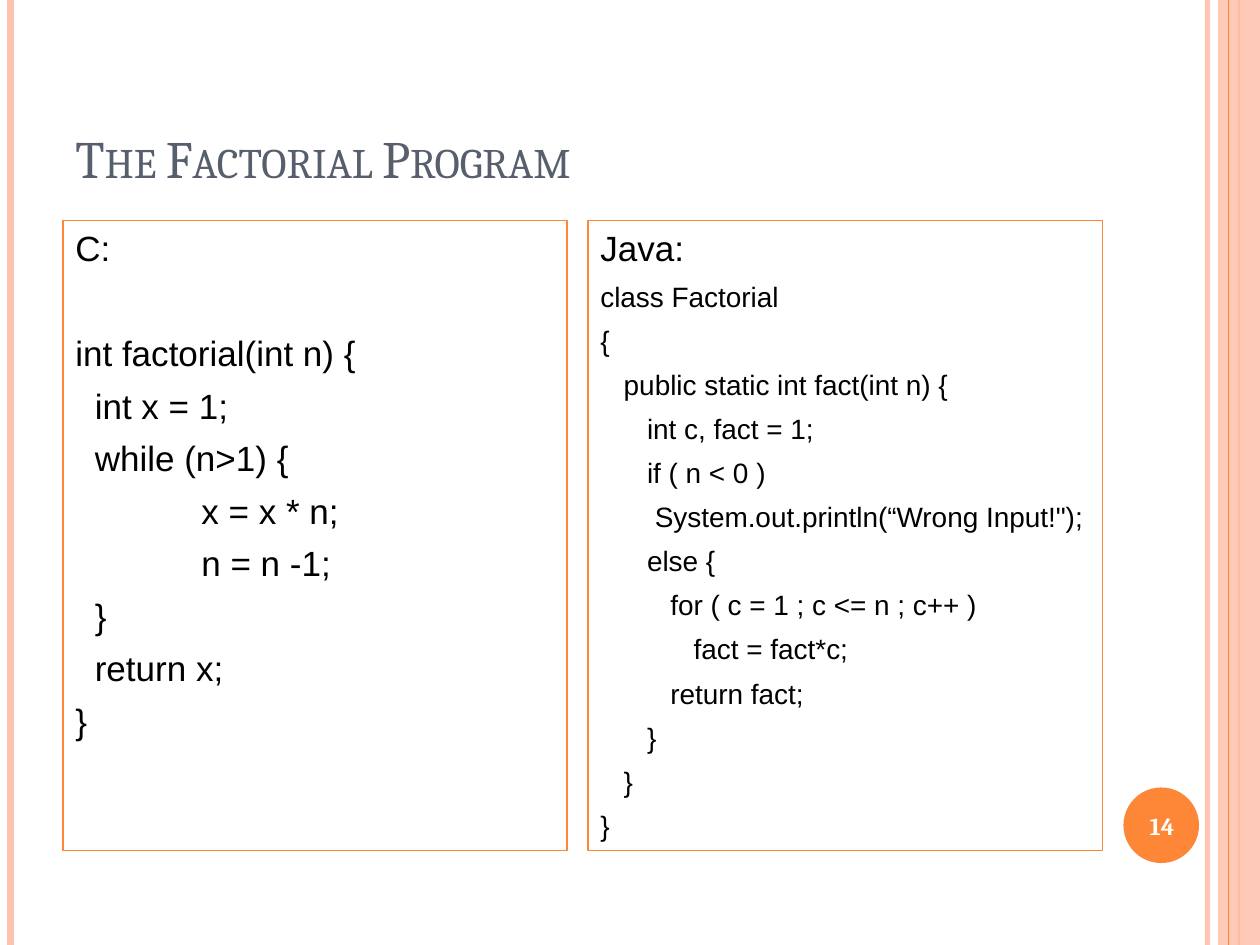
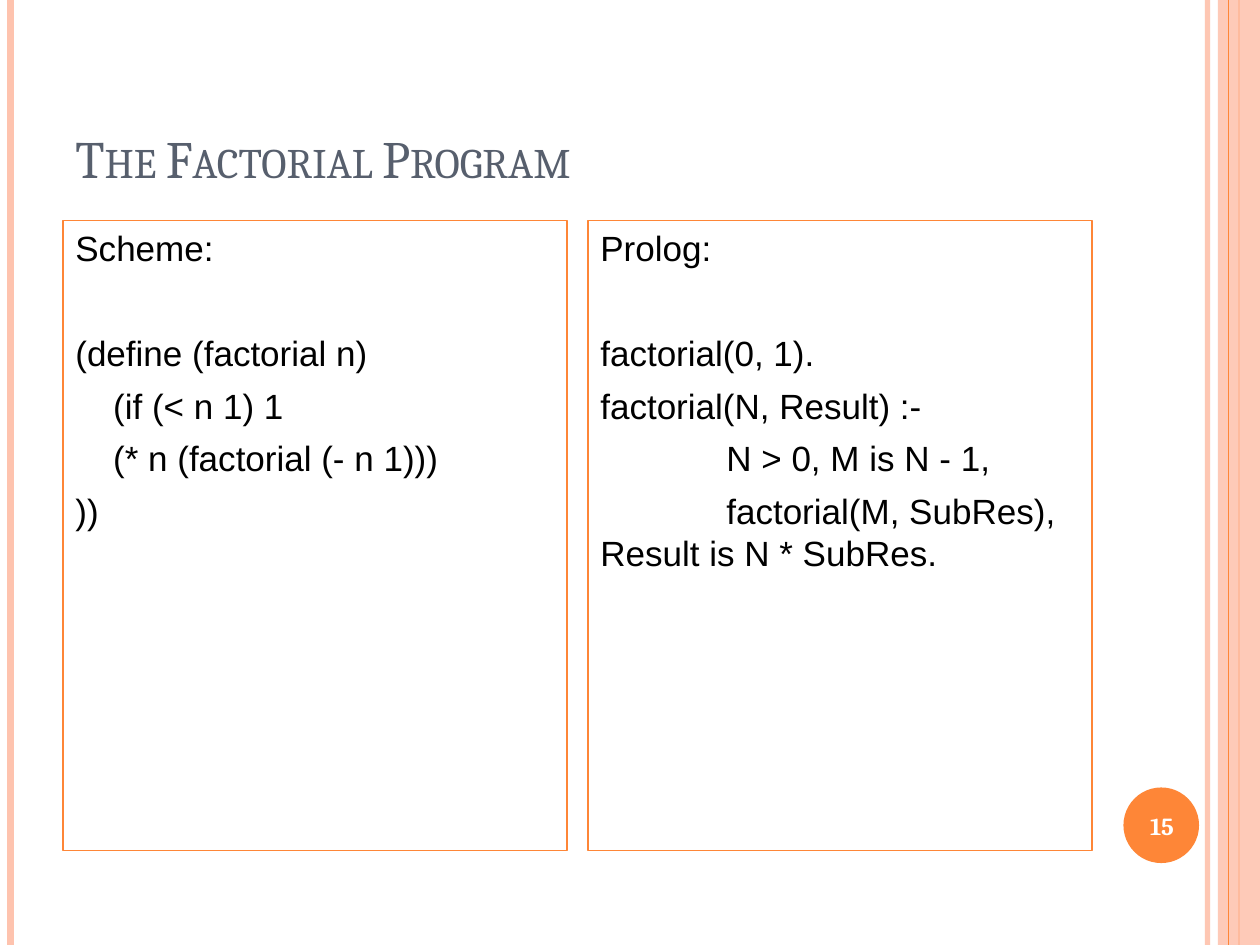
from lxml.etree import SubElement
from pptx import Presentation
from pptx.dml.color import RGBColor
from pptx.enum.shapes import MSO_CONNECTOR as Connector, MSO_SHAPE as Shape
from pptx.enum.text import MSO_ANCHOR as Anchor, PP_ALIGN as Align
from pptx.oxml.ns import qn
from pptx.util import Pt

# Colours
ORANGE = RGBColor(0xFE, 0x86, 0x37)
PEACH = RGBColor(0xFE, 0xC3, 0xAE)
SLATE = RGBColor(0x57, 0x5F, 0x6D)
WHITE = RGBColor(0xFF, 0xFF, 0xFF)
BLACK = RGBColor(0, 0, 0)

# Text formats
TITLE_FONT = {"name": "Cambria", "size": Pt(30)}
NUMBER_FONT = {"name": "Cambria", "size": Pt(14), "bold": True}
CODE_FONT = {"name": "Arial"}

# Layout, in points
WIDTH, HEIGHT = 720, 540
PANEL_TOP, PANEL_HEIGHT = 126, 360
LEFT_COLUMN, RIGHT_COLUMN = 36, 336
PANEL_WIDTH = 288
LINE_PITCH = 1.2
PARAGRAPH_GAP = 6
HEADING_SIZE = 20
TAB = 72


class Deck:
    def __init__(self):
        self.presentation = Presentation()
        self.presentation.slide_width = Pt(WIDTH)
        self.presentation.slide_height = Pt(HEIGHT)
        self.slide = None

    def new_slide(self, title, number):
        layout = self.presentation.slide_layouts[6]
        self.slide = self.presentation.slides.add_slide(layout)
        # Side bands
        self.stripe(690, PEACH, 3, alpha=93)
        self.stripe(6, PEACH, 4.5)
        self.stripe(708, ORANGE, 1.5)
        self.block(Shape.RECTANGLE, (696, 0, 24, HEIGHT), PEACH, alpha=87)
        self.stripe(702, ORANGE, 0.75)
        # Number badge and title
        self.block(Shape.OVAL, (642, 450, 43.2, 43.2), ORANGE)
        heading = self.label((36, 21.6, 588, 90), title, TITLE_FONT, SLATE, Anchor.BOTTOM)
        heading.runs[0]._r.get_or_add_rPr().set("cap", "small")
        page = self.label((640, 451.2, 48, 41), str(number), NUMBER_FONT, WHITE, Anchor.MIDDLE)
        page.alignment = Align.CENTER

    def set_alpha(self, element, percent):
        for colour in element.iter(qn("a:srgbClr")):
            SubElement(colour, qn("a:alpha")).set("val", str(percent * 1000))

    def stripe(self, x, colour, weight, alpha=100):
        line = self.slide.shapes.add_connector(
            Connector.STRAIGHT, Pt(x), Pt(0), Pt(x), Pt(HEIGHT))
        line.line.color.rgb = colour
        line.line.width = Pt(weight)
        SubElement(line._element.spPr, qn("a:effectLst"))
        if alpha < 100:
            self.set_alpha(line._element, alpha)

    def block(self, kind, box, colour, alpha=100):
        block = self.slide.shapes.add_shape(kind, *map(Pt, box))
        block.shadow.inherit = False
        block.fill.solid()
        block.fill.fore_color.rgb = colour
        block.line.fill.background()
        if alpha < 100:
            self.set_alpha(block._element, alpha)

    def styled_run(self, paragraph, text, font_format, colour):
        run = paragraph.add_run()
        run.text = text
        for attribute, value in font_format.items():
            setattr(run.font, attribute, value)
        run.font.color.rgb = colour

    def label(self, box, text, font_format, colour, anchor):
        frame = self.slide.shapes.add_textbox(*map(Pt, box)).text_frame
        frame.word_wrap = True
        frame.vertical_anchor = anchor
        self.styled_run(frame.paragraphs[0], text, font_format, colour)
        return frame.paragraphs[0]

    def code_panel(self, left, language, code, width=PANEL_WIDTH,
                   size=HEADING_SIZE, code_gap=36):
        """Framed listing; code holds (first-line indent, text) pairs."""
        panel = self.slide.shapes.add_shape(
            Shape.RECTANGLE, Pt(left), Pt(PANEL_TOP), Pt(width), Pt(PANEL_HEIGHT))
        panel.shadow.inherit = False
        panel.fill.background()
        panel.line.color.rgb = ORANGE
        panel.line.width = Pt(0.75)
        frame = panel.text_frame
        frame.word_wrap = True
        frame.vertical_anchor = Anchor.TOP
        for row, (indent, text) in enumerate([(0, language), *code]):
            paragraph = frame.add_paragraph() if row else frame.paragraphs[0]
            points = size if row else HEADING_SIZE
            layout = {
                "alignment": Align.LEFT,
                "line_spacing": Pt(points * LINE_PITCH),
                "space_before": Pt(code_gap if row == 1 else PARAGRAPH_GAP),
            }
            for attribute, value in layout.items():
                setattr(paragraph, attribute, value)
            properties = paragraph._p.get_or_add_pPr()
            properties.set("marL", "0")
            properties.set("indent", str(Pt(indent)))
            self.styled_run(paragraph, text, CODE_FONT | {"size": Pt(points)}, BLACK)


# Listings
C_STEP = 11.12
C_CODE = [
    (0, "int factorial(int n) {"),
    (C_STEP, "int x = 1;"),
    (C_STEP, "while (n>1) {"),
    (TAB, "x = x * n;"),
    (TAB, "n = n -1;"),
    (C_STEP, "}"),
    (C_STEP, "return x;"),
    (0, "}"),
]
JAVA_STEP = 13.34
JAVA_CODE = [(JAVA_STEP * depth, text) for depth, text in [
    (0, "class Factorial"),
    (0, "{"),
    (1, "public static int fact(int n) {"),
    (2, "int c, fact = 1;"),
    (2, "if ( n < 0 )"),
    (2.33, "System.out.println(“Wrong Input!\");"),
    (2, "else {"),
    (3, "for ( c = 1 ; c <= n ; c++ )"),
    (4, "fact = fact*c;"),
    (3, "return fact;"),
    (2, "}"),
    (1, "}"),
    (0, "}"),
]]
SCHEME_STEP = 21.6
SCHEME_CODE = [
    (0, "(define (factorial n)"),
    (SCHEME_STEP, "(if (< n 1) 1"),
    (SCHEME_STEP, "(* n (factorial (- n 1)))"),
    (0, "))"),
]
PROLOG_CODE = [
    (0, "factorial(0, 1)."),
    (0, "factorial(N, Result) :-"),
    (TAB, "N > 0, M is N - 1,"),
    (TAB, "factorial(M, SubRes), Result is N * SubRes."),
]

TITLE = "The Factorial Program"
deck = Deck()

# Imperative and object-oriented versions
deck.new_slide(TITLE, 14)
deck.code_panel(LEFT_COLUMN, "C:", C_CODE)
deck.code_panel(RIGHT_COLUMN, "Java:", JAVA_CODE, width=294, size=16,
                code_gap=PARAGRAPH_GAP)

# Functional and logic versions
deck.new_slide(TITLE, 15)
deck.code_panel(LEFT_COLUMN, "Scheme:", SCHEME_CODE)
deck.code_panel(RIGHT_COLUMN, "Prolog:", PROLOG_CODE)

deck.presentation.save("out.pptx")
